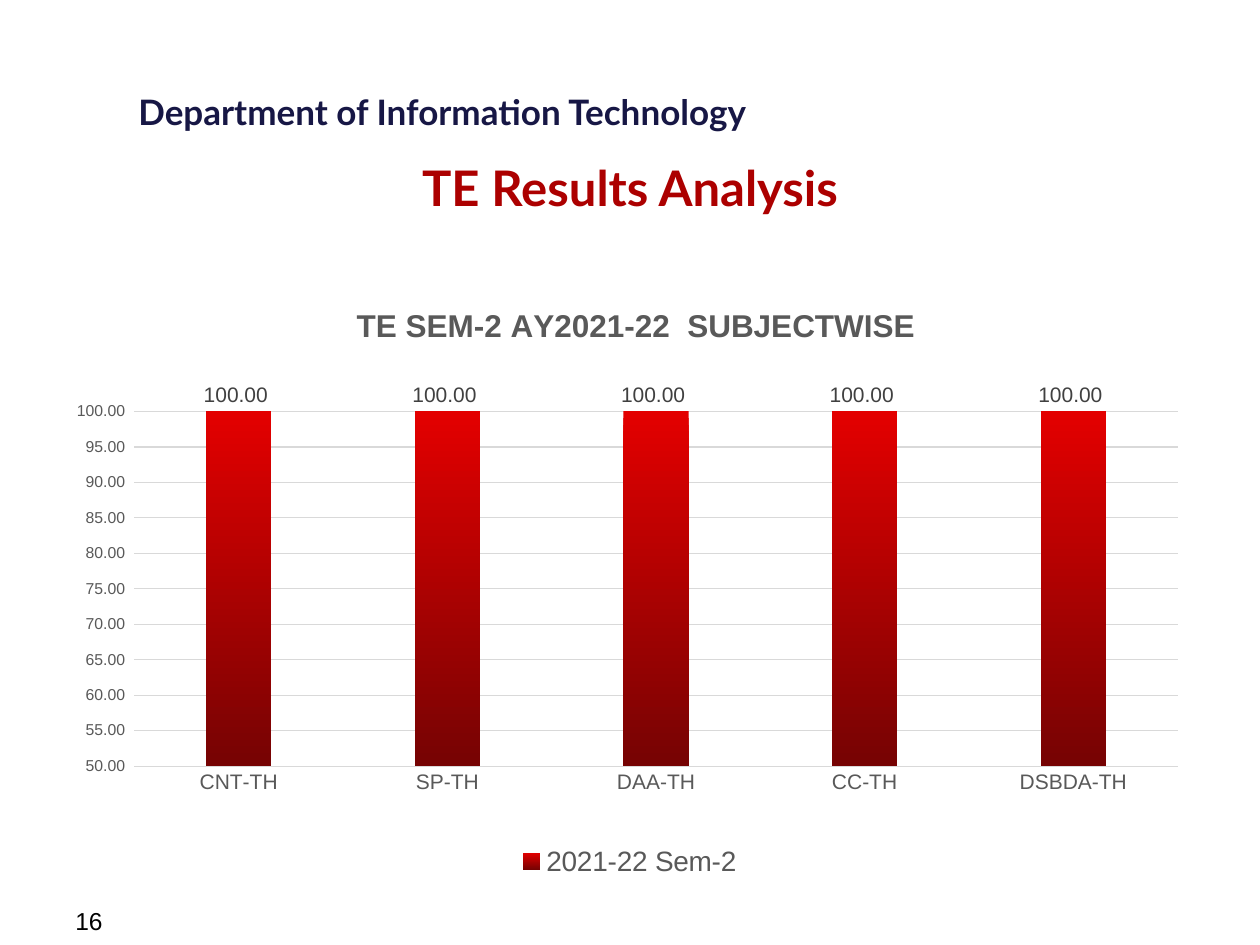
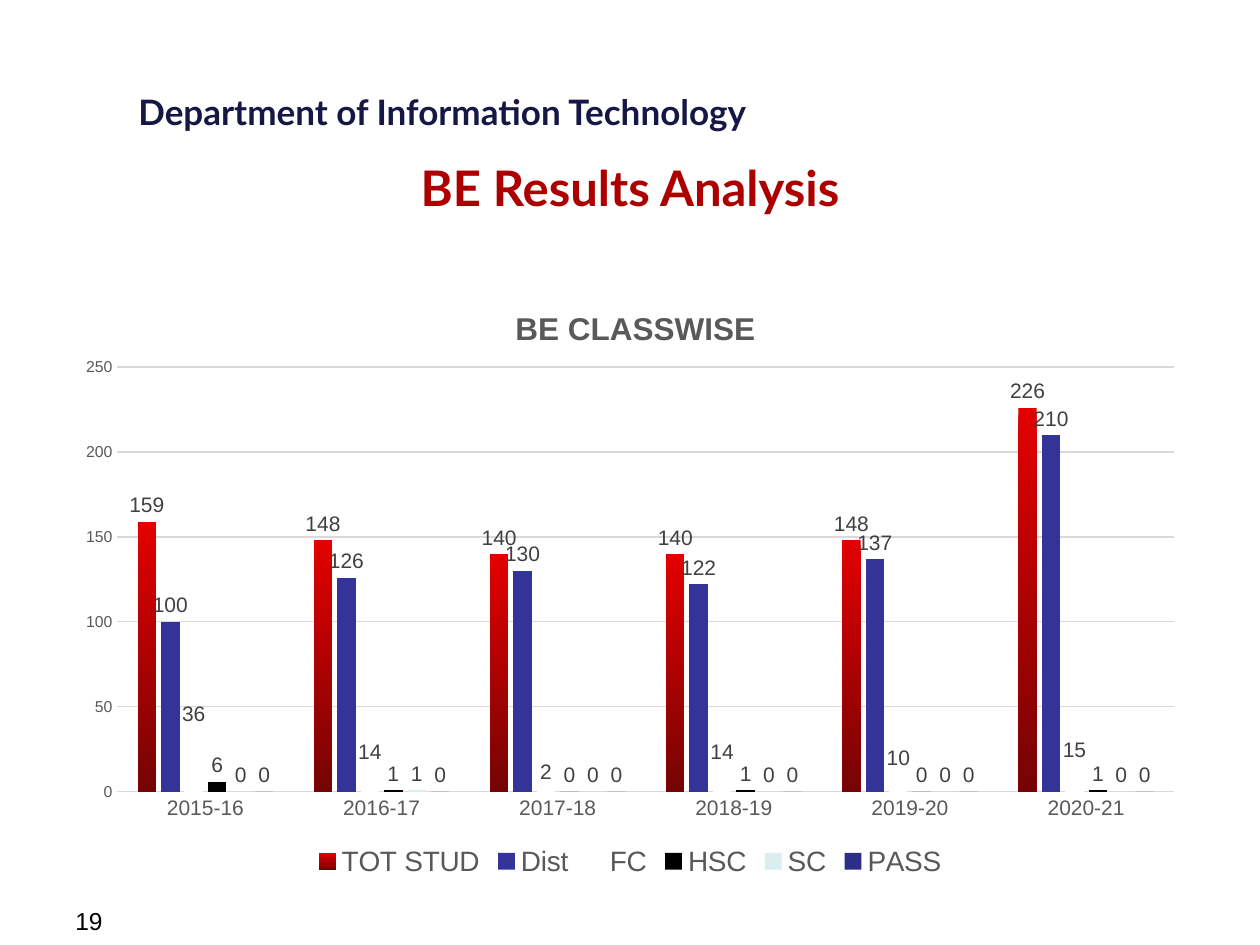
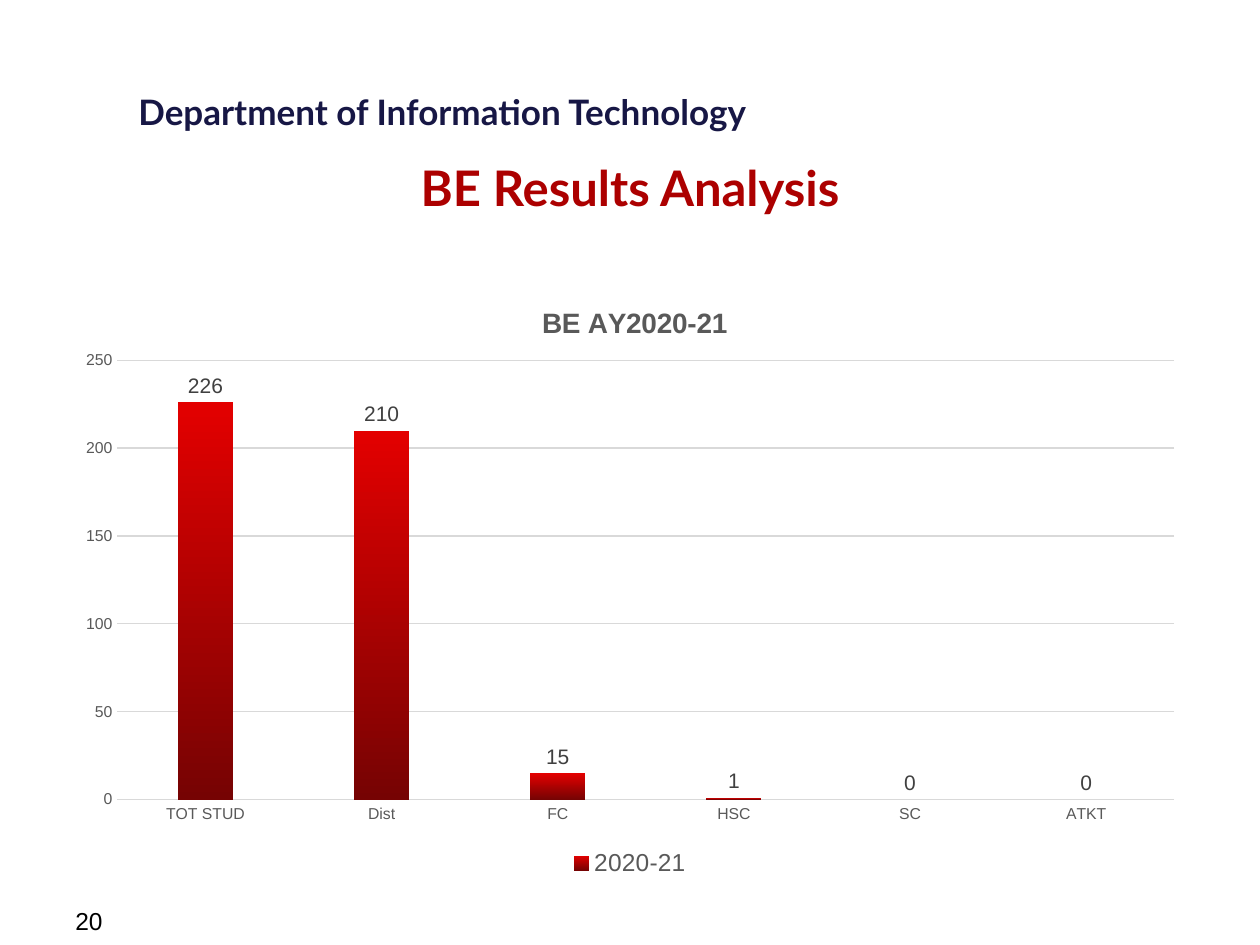
from lxml import etree
from pptx import Presentation
from pptx import util as u
from pptx.chart.data import CategoryChartData
from pptx.dml.color import RGBColor
from pptx.enum import chart as charts, text
from pptx.oxml.ns import qn

# Content
DEPARTMENT = "Department of Information Technology"
RED_GRADIENT = ("E30000", "760303")

# Plot boxes are left, top, width, height in percent of the chart;
# heading spots are left, top in the same measure.
SLIDES = [
    {
        "title": "TE Results Analysis", "number": "16",
        "heading": "TE SEM-2 AY2021-22  SUBJECTWISE",
        "heading_size": 18, "heading_spot": (25.4, 4.2),
        "plot_box": (6.3, 22.7, 92, 58.3),
        "category_size": 12, "legend_size": 16,
        "format": "0.00_ ", "range": (50, 100),
        "categories": ["CNT-TH", "SP-TH", "DAA-TH", "CC-TH", "DSBDA-TH"],
        "series": [("2021-22 Sem-2", RED_GRADIENT, [100] * 5)],
    },
    {
        "title": "BE Results Analysis", "number": "19",
        "heading": "BE CLASSWISE",
        "heading_size": 18, "heading_spot": (39.4, 4.7),
        "plot_box": (4.8, 15.4, 93.2, 69.8),
        "category_size": 12, "legend_size": 16,
        "format": "General", "range": (0, 250),
        "categories": ["2015-16", "2016-17", "2017-18",
                       "2018-19", "2019-20", "2020-21"],
        "series": [
            ("TOT STUD", RED_GRADIENT, [159, 148, 140, 140, 148, 226]),
            ("Dist", "333399", [100, 126, 130, 122, 137, 210]),
            ("FC", "FFFFFF", [36, 14, 2, 14, 10, 15]),
            ("HSC", "000000", [6, 1, 0, 1, 0, 1]),
            ("SC", "DAEDEF", [0, 1, 0, 0, 0, 0]),
            ("PASS", "2D2D8A", [0] * 6),
        ],
    },
    {
        "title": "BE Results Analysis", "number": "20",
        "heading": "BE AY2020-21",
        "heading_size": 16, "heading_spot": (41.8, 4.4),
        "plot_box": (4.8, 14.3, 93.2, 72.2),
        "category_size": 9, "legend_size": 14,
        "format": "General", "range": (0, 250),
        "categories": ["TOT STUD", "Dist", "FC", "HSC", "SC", "ATKT"],
        "series": [("2020-21", RED_GRADIENT, [226, 210, 15, 1, 0, 0])],
    },
]

# Shared style
NAVY, CRIMSON, BLACK = "171745", "AC0000", "000000"
GRAY, LABEL_GRAY, GRID_GRAY = "595959", "404040", "D9D9D9"
DEPARTMENT_BOX = (2.54, 1.7, 13.59, 1.12)
TITLE_BOX = (1.27, 3.05, 22.86, 1.22)
NUMBER_BOX = (1.27, 18.14, 5.92, 0.69)
CHART_BOX = (1.27, 5.51, 22.86, 12.27)


def color(value):
    return RGBColor.from_string(value)


def lengths(box):
    return [u.Cm(length) for length in box]


def style(font, size, value, name="Arial", bold=False):
    font.size, font.name, font.bold = u.Pt(size), name, bold
    font.color.rgb = color(value)


def write(box, words, *look, align=text.PP_ALIGN.LEFT, wrap=True):
    frame = box.text_frame
    frame.word_wrap = wrap
    frame.auto_size = text.MSO_AUTO_SIZE.NONE
    frame.vertical_anchor = text.MSO_ANCHOR.TOP
    para = frame.paragraphs[0]
    para.alignment = align
    span = para.add_run()
    span.text = words
    style(span.font, *look)


def set_layout(parent, index, percents, inner=False):
    """Fix the place of a chart part."""
    for old in parent.findall(qn("c:layout")):
        parent.remove(old)
    layout = etree.Element(qn("c:layout"))
    manual = etree.SubElement(layout, qn("c:manualLayout"))
    entries = [("layoutTarget", "inner")] if inner else []
    entries += [("xMode", "edge"), ("yMode", "edge")]
    entries += [(key, f"{part / 100:.3f}") for key, part in zip("xywh", percents)]
    for tag, value in entries:
        etree.SubElement(manual, qn(f"c:{tag}")).set("val", value)
    parent.insert(index, layout)


def paint(fill, paint_color):
    if isinstance(paint_color, str):
        fill.solid()
        fill.fore_color.rgb = color(paint_color)
        return
    fill.gradient()
    fill.gradient_angle = 270
    for stop, value in zip(fill.gradient_stops, paint_color):
        stop.color.rgb = color(value)


def gray_line(line):
    line.color.rgb = color(GRID_GRAY)
    line.width = u.Pt(0.75)


def add_results_chart(page, content):
    data = CategoryChartData(number_format=content["format"])
    data.categories = content["categories"]
    for name, _, values in content["series"]:
        data.add_series(name, values)
    chart = page.shapes.add_chart(
        charts.XL_CHART_TYPE.COLUMN_CLUSTERED, *lengths(CHART_BOX), data).chart
    style(chart.font, 10, BLACK)

    # Heading and legend
    chart.has_title = True
    span = chart.chart_title.text_frame.paragraphs[0].add_run()
    span.text = content["heading"]
    style(span.font, content["heading_size"], GRAY, bold=True)
    chart.chart_title.include_in_layout = False
    set_layout(chart.chart_title._element, 1, content["heading_spot"])
    chart.has_legend = True
    chart.legend.position = charts.XL_LEGEND_POSITION.BOTTOM
    chart.legend.include_in_layout = False
    style(chart.legend.font, content["legend_size"], GRAY)

    # Axes
    categories, values = chart.category_axis, chart.value_axis
    for axis, size in ((categories, content["category_size"]), (values, 9)):
        axis.major_tick_mark = axis.minor_tick_mark = charts.XL_TICK_MARK.NONE
        style(axis.tick_labels.font, size, GRAY)
    gray_line(categories.format.line)
    values.format.line.fill.background()
    values.has_major_gridlines = True
    gray_line(values.major_gridlines.format.line)
    values.minimum_scale, values.maximum_scale = content["range"]
    values.tick_labels.number_format = content["format"]
    values.tick_labels.number_format_is_linked = False

    # Columns and their labels
    plot = chart.plots[0]
    plot.gap_width, plot.overlap, plot.vary_by_categories = 219, -27, False
    for series, (_, series_color, _) in zip(plot.series, content["series"]):
        series.invert_if_negative = False
        paint(series.format.fill, series_color)
        labels = series.data_labels
        labels.show_value = True
        labels.position = charts.XL_LABEL_POSITION.OUTSIDE_END
        labels.number_format = content["format"]
        labels.number_format_is_linked = False
        style(labels.font, 12, LABEL_GRAY)
    plot_area = chart._chartSpace.find(f".//{qn('c:plotArea')}")
    set_layout(plot_area, 0, content["plot_box"], inner=True)


def add_page(deck, content):
    page = deck.slides.add_slide(deck.slide_layouts[5])
    department = page.shapes.add_textbox(*lengths(DEPARTMENT_BOX))
    write(department, DEPARTMENT, 20, NAVY, "Lato", True, wrap=False)

    title = page.shapes.title
    title.left, title.top, title.width, title.height = lengths(TITLE_BOX)
    write(title, content["title"], 28, CRIMSON, "Lato", True,
          align=text.PP_ALIGN.CENTER)

    number = page.shapes.add_textbox(*lengths(NUMBER_BOX))
    write(number, content["number"], 14, BLACK)
    add_results_chart(page, content)


def main():
    deck = Presentation()
    deck.slide_width, deck.slide_height = u.Cm(25.4), u.Cm(19.05)
    for content in SLIDES:
        add_page(deck, content)
    deck.save("out.pptx")


if __name__ == "__main__":
    main()
